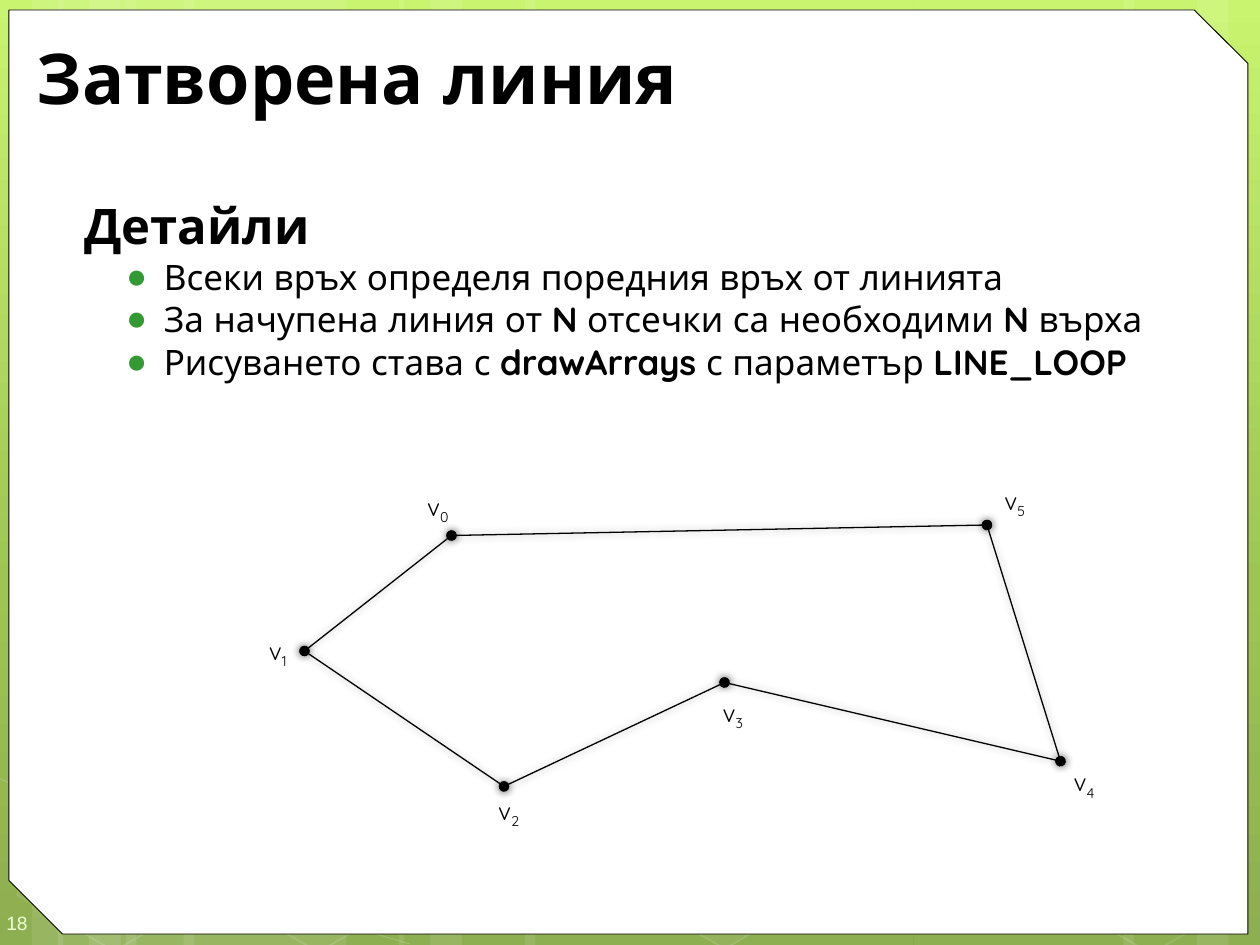
from copy import deepcopy
from typing import NamedTuple

from lxml.etree import SubElement
from pptx import Presentation
from pptx.dml.color import RGBColor
from pptx.enum.shapes import MSO_CONNECTOR, MSO_SHAPE
from pptx.enum.text import MSO_ANCHOR, MSO_AUTO_SIZE, PP_ALIGN
from pptx.oxml.ns import qn
from pptx.util import Emu, Inches, Pt

BLACK = RGBColor(0, 0, 0)
WHITE = RGBColor(255, 255, 255)
PALE = RGBColor(0xEE, 0xFF, 0xD6)
GREEN = RGBColor(0x33, 0x99, 0x33)
SKY = [(0, RGBColor(0xC3, 0xF3, 0x5F)),
       (0.62, RGBColor(0x93, 0xBF, 0x3F)),
       (1, RGBColor(0x81, 0xA5, 0x3E))]
FONT = "Quicksand"

COLS, ROWS = 240, 180  # the slide's grid
WIDE, HIGH = Inches(10), Inches(7.5)


class Band(NamedTuple):
    """A vertical strip: first column and number of columns."""
    col: float
    span: float


class Hex(NamedTuple):
    col: float
    row: float
    fill: int  # opacity in percent, 0 for none


class Node(NamedTuple):
    """A vertex of the loop and the corner of its label box."""
    col: float
    row: float
    tagcol: float
    tagrow: float


class Part(NamedTuple):
    text: str
    bold: bool = False


BANDS = [Band(24, 42), Band(0, 12), Band(6, 20), Band(35, 42), Band(11, 12),
         Band(17, 20), Band(174, 42), Band(228, 12), Band(214, 20),
         Band(100, 74), Band(76, 12), Band(82, 20)]
HEXES = [Hex(117, 141.4, 6), Hex(0.7, 141.8, 0),
         Hex(39.6, 142, 0), Hex(198.2, 142.3, 0)]
CURVE = [(0, 148.3), (26, 160.8), (52, 172), (78, 179.8)]
NODES = [Node(86, 102, 75.1, 92.6), Node(58, 124, 44.6, 120),
         Node(96, 149.8, 88.6, 150.5), Node(138, 130, 131.3, 131.8),
         Node(202, 145, 198.2, 145), Node(188, 100, 185, 91.4)]
ITEMS = [
    [Part("Всеки връх определя поредния връх от линията")],
    [Part("За начупена линия от "), Part("N", True),
     Part(" отсечки са необходими "), Part("N", True), Part(" върха")],
    [Part("Рисуването става с "), Part("drawArrays ", True),
     Part("с параметър "), Part("LINE_LOOP", True)],
]


def across(col: float) -> Emu:
    return Emu(round(WIDE * col / COLS))


def down(row: float) -> Emu:
    return Emu(round(HIGH * row / ROWS))


def area(col: float, row: float, cols: float, rows: float) -> tuple:
    return across(col), down(row), across(cols), down(rows)


def place(shape, *cells: float) -> None:
    shape.left, shape.top, shape.width, shape.height = area(*cells)


def fade(fill, share: int) -> None:
    """Paint white at the given opacity in percent."""
    fill.solid()
    fill.fore_color.rgb = WHITE
    tone = fill._xPr.find(".//" + qn("a:srgbClr"))
    SubElement(tone, qn("a:alpha"), val=str(share * 1000))


def write(para, part: Part, size: float, tint=BLACK, font: str = FONT):
    run = para.add_run()
    run.text = part.text
    run.font.name, run.font.size = font, Pt(size)
    run.font.bold, run.font.color.rgb = part.bold, tint
    return run


def indent(para, left: float, first: float = 0) -> None:
    props = para._p.get_or_add_pPr()
    props.set("marL", str(Inches(left)))
    props.set("indent", str(Inches(first)))


def bullet(para, mark: str = "") -> None:
    props = para._p.get_or_add_pPr()
    if mark:
        tone = SubElement(props, qn("a:buClr"))
        SubElement(tone, qn("a:srgbClr"), val=str(GREEN))
        SubElement(props, qn("a:buChar"), char=mark)
    else:
        SubElement(props, qn("a:buNone"))


def paint(slide) -> None:
    """Give the slide its three-stop gradient."""
    fill = slide.background.fill
    fill.gradient()
    fill.gradient_angle = 270
    stops = slide.element.find(".//" + qn("a:gsLst"))
    stops.append(deepcopy(stops[0]))
    for stop, (spot, tint) in zip(fill.gradient_stops, SKY):
        stop.position, stop.color.rgb = spot, tint


def decor(slide) -> None:
    """Draw the pale pattern and the white panel over it."""
    for band in BANDS:
        strip = slide.shapes.add_shape(
            MSO_SHAPE.RECTANGLE, *area(band.col, 0, band.span, ROWS))
        strip.shadow.inherit = False
        fade(strip.fill, 10)
        strip.line.fill.background()

    (col, row), *rest = [(across(c), down(r)) for c, r in CURVE]
    maker = slide.shapes.build_freeform(col, row)
    maker.add_line_segments(rest, close=False)
    curve = maker.convert_to_shape()
    curve.shadow.inherit = False
    curve.fill.background()
    curve.line.width = Pt(0.5)
    fade(curve.line.fill, 20)

    for cell in HEXES:
        tile = slide.shapes.add_shape(
            MSO_SHAPE.HEXAGON, *area(cell.col, cell.row, 42, 36.5))
        tile.shadow.inherit = False
        tile.rotation = 30
        tile.adjustments[0] = 0.285
        if cell.fill:
            fade(tile.fill, cell.fill)
        else:
            tile.fill.background()
        tile.line.width = Pt(1)
        fade(tile.line.fill, 12)

    panel = slide.shapes.add_shape(
        MSO_SHAPE.SNIP_2_DIAG_RECTANGLE, *area(1.7, 1.9, 236, 176))
    panel.shadow.inherit = False
    panel.adjustments[0], panel.adjustments[1] = 0, 0.058
    panel.fill.solid()
    panel.fill.fore_color.rgb = WHITE
    panel.line.color.rgb, panel.line.width = BLACK, Pt(0.5)


def number(slide) -> None:
    frame = slide.shapes.add_textbox(*area(0, 170.4, 14, 9.6)).text_frame
    frame.word_wrap, frame.vertical_anchor = True, MSO_ANCHOR.MIDDLE
    frame.margin_left, frame.margin_right = Inches(0.05), 0
    frame.margin_top, frame.margin_bottom = Inches(0.15), Inches(0.1)
    write(frame.paragraphs[0], Part("18"), 11, PALE, "Arial")


def words(slide) -> None:
    """Fill the title and the list."""
    title, body = slide.shapes.title, slide.placeholders[1]
    place(title, 4.6, 6, 227.3, 17)
    place(body, 12, 36, 226, 142)
    for holder in (title, body):
        holder.text_frame.auto_size = MSO_AUTO_SIZE.NONE
    title.text_frame.vertical_anchor = MSO_ANCHOR.MIDDLE
    head = title.text_frame.paragraphs[0]
    head.alignment = PP_ALIGN.LEFT
    write(head, Part("Затворена линия", True), 40)

    lead = body.text_frame.paragraphs[0]
    indent(lead, 0.07)
    bullet(lead)
    lead.space_before = Pt(0)
    write(lead, Part("Детайли", True), 28)
    for item in ITEMS:
        para = body.text_frame.add_paragraph()
        para.level = 1
        indent(para, 0.7, -0.3)
        bullet(para, "●")
        para.space_before = Pt(0.5)
        for part in item:
            write(para, part, 20)


def edge(slide, start: Node, end: Node) -> None:
    line = slide.shapes.add_connector(
        MSO_CONNECTOR.STRAIGHT, across(start.col), down(start.row),
        across(end.col), down(end.row))
    line.line.color.rgb, line.line.width = BLACK, Pt(0.75)
    props = line._element.spPr
    stroke = props.find(qn("a:ln"))
    for tip in ("a:headEnd", "a:tailEnd"):
        SubElement(stroke, qn(tip), type="oval")
    glow = SubElement(SubElement(props, qn("a:effectLst")), qn("a:outerShdw"),
                      blurRad=str(Pt(5)), dist="0", dir="0")
    tone = SubElement(glow, qn("a:srgbClr"), val=str(BLACK))
    SubElement(tone, qn("a:alpha"), val="40000")


def label(slide, index: int, node: Node) -> None:
    frame = slide.shapes.add_textbox(
        *area(node.tagcol, node.tagrow, 14.9, 8.2)).text_frame
    frame.word_wrap = True
    para = frame.paragraphs[0]
    para.alignment = PP_ALIGN.CENTER
    indent(para, 0.07)
    write(para, Part("v"), 14)
    sub = write(para, Part(str(index)), 14)
    sub._r.get_or_add_rPr().set("baseline", "-25000")


def main() -> None:
    deck = Presentation()
    deck.slide_width, deck.slide_height = WIDE, HIGH
    slide = deck.slides.add_slide(deck.slide_layouts[1])
    paint(slide)
    decor(slide)
    number(slide)
    # The placeholders come first in the tree; lift them above the panel.
    for holder in list(slide.placeholders):
        slide.shapes._spTree.append(holder._element)
    words(slide)
    for start, end in zip(NODES, NODES[1:] + NODES[:1]):
        edge(slide, start, end)
    for index, node in enumerate(NODES):
        label(slide, index, node)
    deck.save("out.pptx")


if __name__ == "__main__":
    main()
